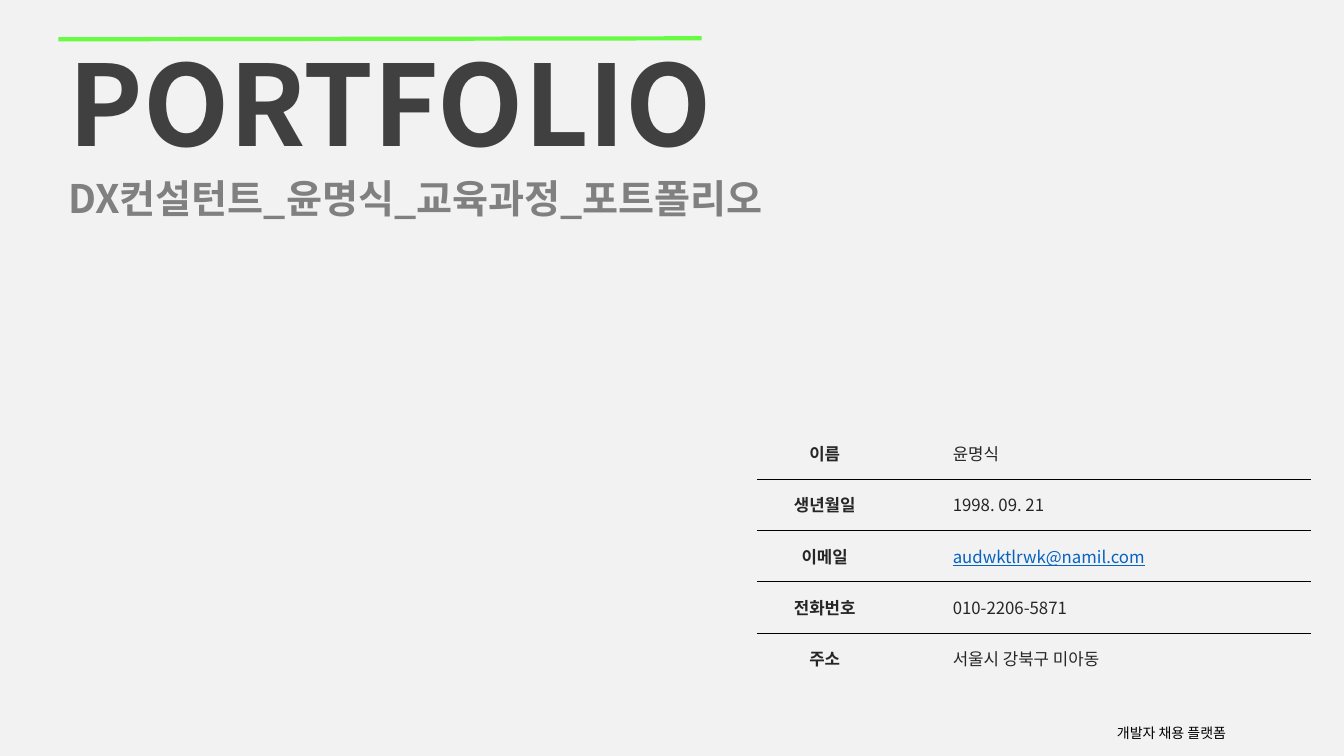
"""Build the portfolio cover slide with its profile table."""
import dataclasses

import lxml.etree
import pptx
import pptx.dml.color
import pptx.enum.shapes
import pptx.enum.text
import pptx.oxml.ns
import pptx.slide
import pptx.table
import pptx.text.text
import pptx.util

Inches = pptx.util.Inches
FONT = "Noto Sans CJK KR"
COLORS = {
    "background": "F2F2F2",
    "accent": "67FB42",
    "title": "404040",
    "subtitle": "808080",
    "cell": "262626",
    "email": "0563C1",
    "black": "000000",
}


@dataclasses.dataclass(frozen=True)
class Style:
    size: float
    color: str
    bold: bool = False
    underline: bool = False


@dataclasses.dataclass(frozen=True)
class Caption:
    text: str
    left: float
    top: float
    width: float
    height: float
    style: Style
    line_spacing: float = 1.0
    space_before: float = 0


@dataclasses.dataclass(frozen=True)
class ProfileRow:
    label: str
    value: str
    value_style: Style


LABEL = Style(12, "cell", bold=True)
VALUE = Style(12, "cell")
EMAIL = Style(12, "email", underline=True)

CAPTIONS = [
    Caption("개발자 채용 플랫폼", 10.98, 7.14, 1.62, 0.28, Style(10, "black")),
    Caption("PORTFOLIO", 0.58, 0.29, 8.72, 1.45, Style(80, "title", bold=True)),
    Caption("DX컨설턴트_윤명식_교육과정_포트폴리오", 0.58, 1.73, 12.22, 0.84,
            Style(28, "subtitle", bold=True), line_spacing=0.9, space_before=10),
]
PROFILE = [
    ProfileRow("이름", "윤명식", VALUE),
    ProfileRow("생년월일", "1998. 09. 21", VALUE),
    ProfileRow("이메일", "audwktlrwk@namil.com", EMAIL),
    ProfileRow("전화번호", "010-2206-5871", VALUE),
    ProfileRow("주소", "서울시 강북구 미아동", VALUE),
]
COLUMN_WIDTHS = (1.34, 4.15)
ROW_HEIGHT = 0.51


def rgb(name: str) -> pptx.dml.color.RGBColor:
    return pptx.dml.color.RGBColor.from_string(COLORS[name])


def add_child(parent: lxml.etree._Element, tag: str, **attributes: str) -> lxml.etree._Element:
    return lxml.etree.SubElement(parent, pptx.oxml.ns.qn(tag), attributes)


def add_span(para: pptx.text.text._Paragraph, text: str, style: Style) -> None:
    span = para.add_run()
    span.text = text
    span.font.name = FONT
    span.font.size = pptx.util.Pt(style.size)
    span.font.bold = style.bold
    span.font.underline = style.underline
    span.font.color.rgb = rgb(style.color)
    add_child(span.font._element, "a:ea", typeface=FONT)


def add_caption(page: pptx.slide.Slide, caption: Caption) -> None:
    box = page.shapes.add_textbox(Inches(caption.left), Inches(caption.top),
                                  Inches(caption.width), Inches(caption.height))
    box.text_frame.word_wrap = True
    para = box.text_frame.paragraphs[0]
    para.line_spacing = caption.line_spacing
    para.space_before = pptx.util.Pt(caption.space_before)
    add_span(para, caption.text, caption.style)


def add_accent_line(page: pptx.slide.Slide) -> None:
    line = page.shapes.add_connector(pptx.enum.shapes.MSO_CONNECTOR.STRAIGHT,
                                     Inches(0.58), Inches(0.39), Inches(6.96), Inches(0.38))
    line.line.color.rgb = rgb("accent")
    line.line.width = pptx.util.Pt(3)
    add_child(line._element.spPr, "a:effectLst")


def set_borders(cell: pptx.table._Cell, ruled_sides: set[str]) -> None:
    properties = cell._tc.get_or_add_tcPr()
    for side in "LRTB":
        border = add_child(properties, f"a:ln{side}", w=str(pptx.util.Pt(0.25)))
        if side in ruled_sides:
            fill = add_child(border, "a:solidFill")
            add_child(fill, "a:srgbClr", val=COLORS["black"])
        else:
            add_child(border, "a:noFill")


def fill_cell(cell: pptx.table._Cell, text: str, style: Style, ruled_sides: set[str]) -> None:
    set_borders(cell, ruled_sides)
    cell.fill.background()
    cell.vertical_anchor = pptx.enum.text.MSO_ANCHOR.MIDDLE
    para = cell.text_frame.paragraphs[0]
    if style is LABEL:
        para.alignment = pptx.enum.text.PP_ALIGN.CENTER
    else:
        para._p.get_or_add_pPr().set("marL", str(Inches(0.5)))
    add_span(para, text, style)


def add_profile(page: pptx.slide.Slide) -> None:
    frame = page.shapes.add_table(len(PROFILE), len(COLUMN_WIDTHS), Inches(7.51), Inches(4.24),
                                  Inches(sum(COLUMN_WIDTHS)), Inches(ROW_HEIGHT * len(PROFILE)))
    table = frame.table
    table.first_row = table.horz_banding = False
    for column, width in zip(table.columns, COLUMN_WIDTHS):
        column.width = Inches(width)
    for index, row in enumerate(PROFILE):
        table.rows[index].height = Inches(ROW_HEIGHT)
        ruled_sides = set()
        if index > 0:
            ruled_sides.add("T")
        if index < len(PROFILE) - 1:
            ruled_sides.add("B")
        fill_cell(table.cell(index, 0), row.label, LABEL, ruled_sides)
        fill_cell(table.cell(index, 1), row.value, row.value_style, ruled_sides)


def main() -> None:
    deck = pptx.Presentation()
    deck.slide_width, deck.slide_height = Inches(13.33), Inches(7.5)
    page = deck.slides.add_slide(deck.slide_layouts[6])
    page.background.fill.solid()
    page.background.fill.fore_color.rgb = rgb("background")
    for caption in CAPTIONS:
        add_caption(page, caption)
    add_accent_line(page)
    add_profile(page)
    deck.save("out.pptx")


if __name__ == "__main__":
    main()
